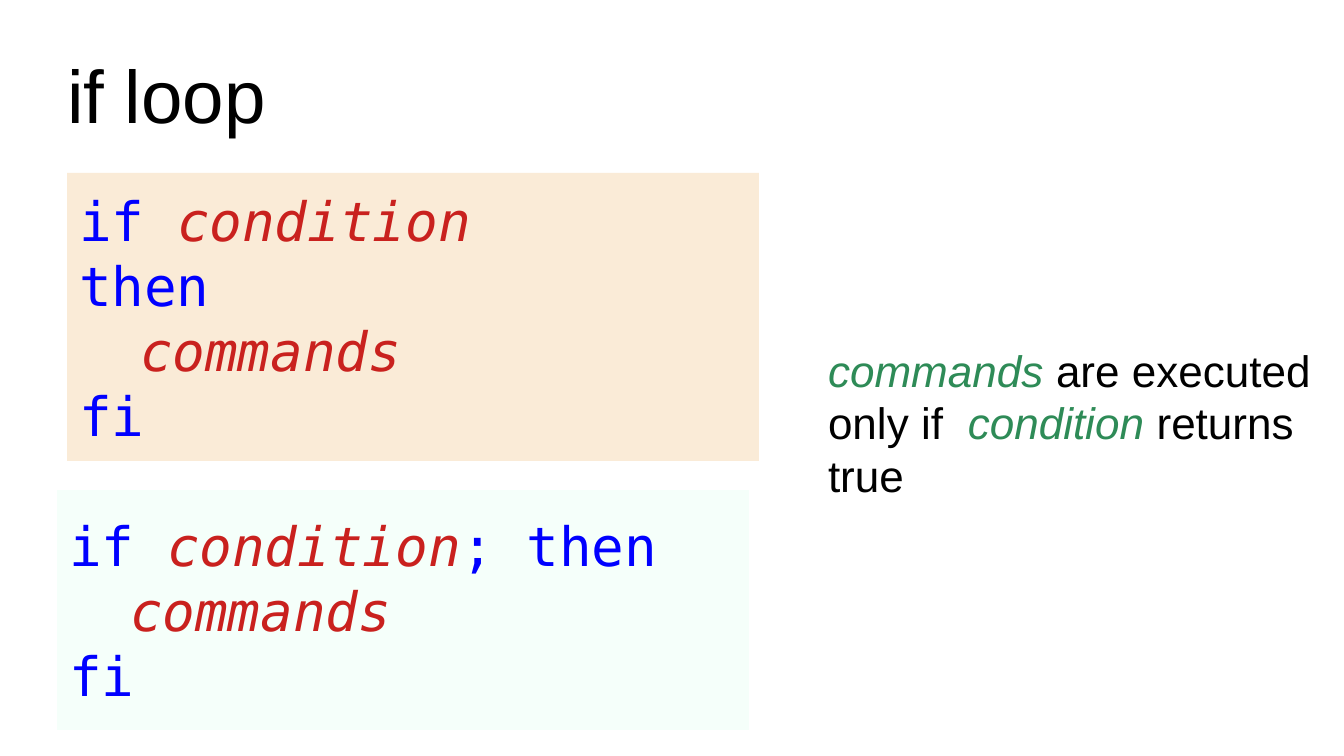
from dataclasses import dataclass

import pptx
import pptx.dml.color
import pptx.enum.shapes
import pptx.enum.text
import pptx.presentation
import pptx.shapes.autoshape
import pptx.slide
import pptx.text.text
import pptx.util

RGBColor = pptx.dml.color.RGBColor
BLACK = RGBColor(0x00, 0x00, 0x00)
KEYWORD_BLUE = RGBColor(0x00, 0x00, 0xFF)
PLACEHOLDER_RED = RGBColor(0xC9, 0x21, 0x1E)
TERM_GREEN = RGBColor(0x2E, 0x8B, 0x57)
ANTIQUE_WHITE = RGBColor(0xFA, 0xEB, 0xD7)
MINT_CREAM = RGBColor(0xF5, 0xFF, 0xFA)

BODY_FONT = "Arial"
CODE_FONT = "DejaVu Sans Mono"
PX_PER_INCH = 122


@dataclass(frozen=True)
class Box:
    left: int
    top: int
    width: int
    height: int


@dataclass(frozen=True)
class Span:
    text: str
    color: RGBColor
    italic: bool = False


@dataclass(frozen=True)
class CodePanel:
    box: Box
    fill: RGBColor
    lines: list[list[Span]]


def px(length: int) -> int:
    return round(length * pptx.util.Inches(1) / PX_PER_INCH)


def edges(box: Box) -> tuple[int, int, int, int]:
    return px(box.left), px(box.top), px(box.width), px(box.height)


def write_lines(frame: pptx.text.text.TextFrame, lines: list[list[Span]],
                font: str, size: int) -> None:
    frame.word_wrap = True
    for index, spans in enumerate(lines):
        line = frame.add_paragraph() if index else frame.paragraphs[0]
        line.alignment = pptx.enum.text.PP_ALIGN.LEFT
        for span in spans:
            run = line.add_run()
            run.text = span.text
            run.font.name = font
            run.font.size = pptx.util.Pt(size)
            run.font.italic = span.italic
            run.font.color.rgb = span.color


def draw_title(slide: pptx.slide.Slide, box: Box, text: str) -> None:
    title = slide.shapes.title
    title.left, title.top, title.width, title.height = edges(box)
    frame = title.text_frame
    frame.margin_left = frame.margin_right = 0
    frame.margin_top = frame.margin_bottom = 0
    frame.vertical_anchor = pptx.enum.text.MSO_ANCHOR.MIDDLE
    frame.auto_size = pptx.enum.text.MSO_AUTO_SIZE.NONE
    write_lines(frame, [[Span(text, BLACK)]], BODY_FONT, 44)


def draw_code_panel(slide: pptx.slide.Slide, panel: CodePanel) -> None:
    background = slide.shapes.add_shape(
        pptx.enum.shapes.MSO_SHAPE.RECTANGLE, *edges(panel.box))
    background.shadow.inherit = False
    background.fill.solid()
    background.fill.fore_color.rgb = panel.fill
    background.line.fill.background()
    background.text_frame.vertical_anchor = pptx.enum.text.MSO_ANCHOR.MIDDLE
    write_lines(background.text_frame, panel.lines, CODE_FONT, 32)


def draw_explanation(slide: pptx.slide.Slide, box: Box, spans: list[Span]) -> None:
    explanation = slide.shapes.add_textbox(*edges(box))
    write_lines(explanation.text_frame, [spans], BODY_FONT, 26)


# Code shared by both spellings of the statement
IF_CONDITION = [Span("if ", KEYWORD_BLUE), Span("condition", PLACEHOLDER_RED, True)]
BODY = [
    [Span("\t", KEYWORD_BLUE), Span("commands", PLACEHOLDER_RED, True)],
    [Span("fi", KEYWORD_BLUE)],
]

CODE_PANELS = [
    CodePanel(Box(67, 173, 692, 288), ANTIQUE_WHITE,
              [IF_CONDITION, [Span("then", KEYWORD_BLUE)], *BODY]),
    CodePanel(Box(57, 490, 692, 240), MINT_CREAM,
              [[*IF_CONDITION, Span("; then", KEYWORD_BLUE)], *BODY]),
]

EXPLANATION = [
    Span("commands", TERM_GREEN, True),
    Span(" are executed only if  ", BLACK),
    Span("condition", TERM_GREEN, True),
    Span(" returns true", BLACK),
]


def main() -> None:
    deck = pptx.Presentation()
    deck.slide_width, deck.slide_height = px(1344), px(756)
    slide = deck.slides.add_slide(deck.slide_layouts.get_by_name("Title Only"))

    # Title, code on the left, explanation on the right
    draw_title(slide, Box(67, 30, 1210, 127), "if loop")
    for panel in CODE_PANELS:
        draw_code_panel(slide, panel)
    draw_explanation(slide, Box(816, 337, 509, 260), EXPLANATION)

    deck.save("out.pptx")


if __name__ == "__main__":
    main()
